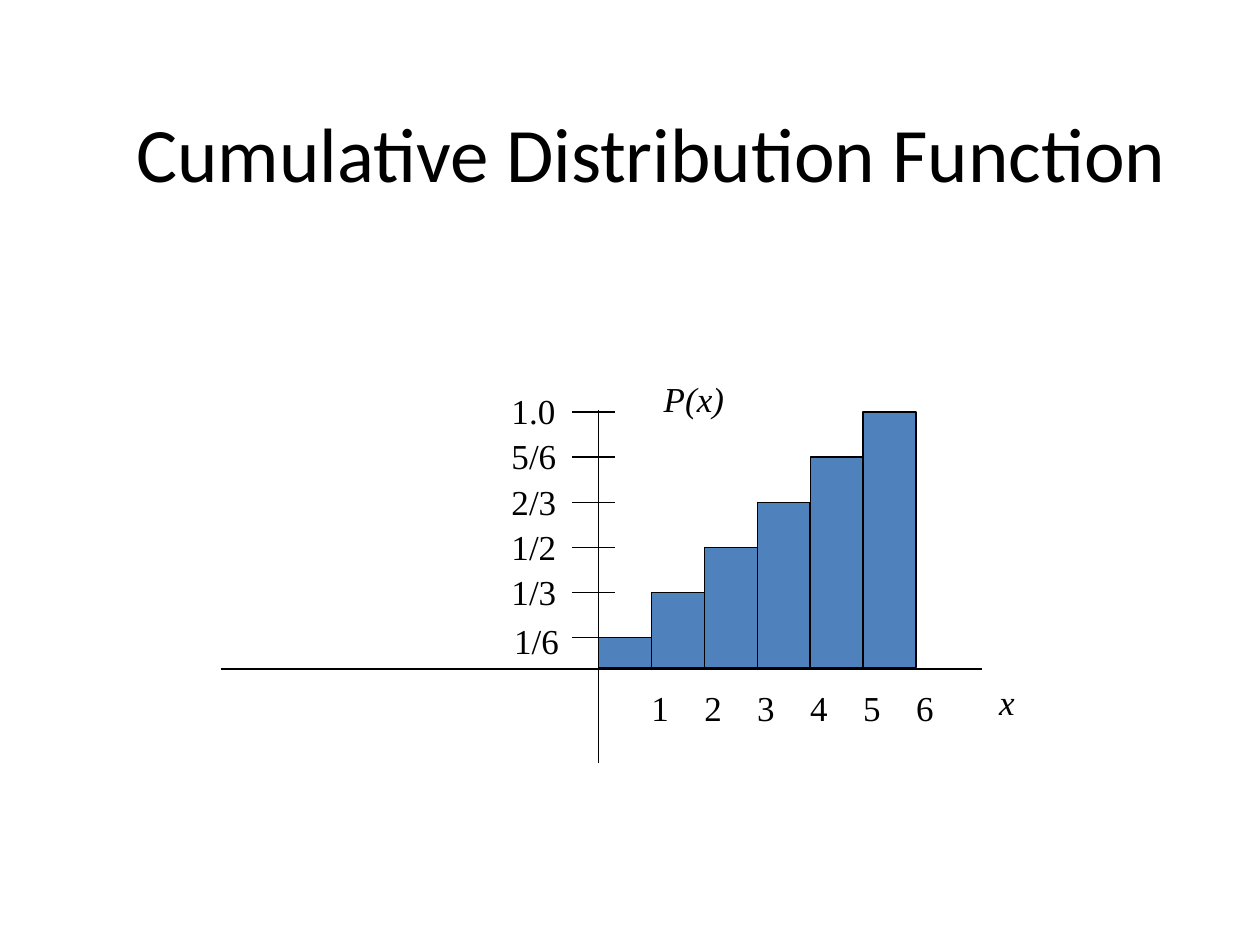
import pptx
import pptx.util
import pptx.dml.color
import pptx.enum.shapes
import pptx.enum.text
import pptx.oxml

Pt = pptx.util.Pt

TITLE = "Cumulative Distribution Function"
OUTCOMES = ["1", "2", "3", "4", "5", "6"]
PROBABILITIES = ["1/6", "1/3", "1/2", "2/3", "5/6", "1.0"]
VERTICAL_LABEL = "P(x)"
HORIZONTAL_LABEL = "x"

THEME = {
    "ink": pptx.dml.color.RGBColor.from_string("000000"),
    "bar": pptx.dml.color.RGBColor.from_string("4F81BD"),
    "title_font": "Calibri",
    "title_size": Pt(44),
    "label_font": "Times New Roman",
    "label_size": Pt(20),
    "line": Pt(0.75),
}

ORIGIN_X, BASELINE = 342, 381.6
BAR_WIDTH = 30.24
FIRST_TICK, TICK_GAP = 364.3, 25.77
TICK_LEFT, TICK_RIGHT = 326.9, 351.4
AXES = [(ORIGIN_X, 234, ORIGIN_X, 436.3), (126, 382.3, 560.9, 382.3)]


def add_line(slide, x1, y1, x2, y2):
    line = slide.shapes.add_connector(
        pptx.enum.shapes.MSO_CONNECTOR.STRAIGHT, Pt(x1), Pt(y1), Pt(x2), Pt(y2))
    line.line.color.rgb = THEME["ink"]
    line.line.width = THEME["line"]
    properties = line._element.spPr
    properties.append(properties.makeelement(pptx.oxml.ns.qn("a:effectLst"), {}))


def add_bar(slide, left, top):
    bar = slide.shapes.add_shape(
        pptx.enum.shapes.MSO_SHAPE.RECTANGLE,
        Pt(left), Pt(top), Pt(BAR_WIDTH), Pt(BASELINE - top))
    bar.shadow.inherit = False
    bar.fill.solid()
    bar.fill.fore_color.rgb = THEME["bar"]
    bar.line.color.rgb = THEME["ink"]
    bar.line.width = THEME["line"]


def add_label(slide, text, left, top, width, height, axis_name=False):
    box = slide.shapes.add_textbox(Pt(left), Pt(top), Pt(width), Pt(height))
    frame = box.text_frame
    frame.word_wrap = True
    if not axis_name:
        frame.margin_left = frame.margin_right = 0
        frame.margin_top = frame.margin_bottom = 0
    paragraph = frame.paragraphs[0]
    paragraph.text = text
    paragraph.font.name = THEME["label_font"]
    paragraph.font.size = THEME["label_size"]
    paragraph.font.italic = axis_name
    paragraph.font.color.rgb = THEME["ink"]


def add_title(slide):
    title = slide.shapes.title
    title.left, title.top, title.width, title.height = Pt(38.2), Pt(28.8), Pt(668.2), Pt(115.2)
    title.text_frame.text = TITLE
    title.text_frame.vertical_anchor = pptx.enum.text.MSO_ANCHOR.MIDDLE
    paragraph = title.text_frame.paragraphs[0]
    paragraph.alignment = pptx.enum.text.PP_ALIGN.CENTER
    paragraph.font.name = THEME["title_font"]
    paragraph.font.size = THEME["title_size"]
    paragraph.font.color.rgb = THEME["ink"]


def main():
    presentation = pptx.Presentation()
    presentation.slide_width, presentation.slide_height = Pt(720), Pt(540)
    slide = presentation.slides.add_slide(presentation.slide_layouts[5])
    add_title(slide)

    ticks = [FIRST_TICK - index * TICK_GAP for index in range(len(PROBABILITIES))]
    for index, tick in enumerate(ticks):
        add_bar(slide, ORIGIN_X + index * BAR_WIDTH, tick)
    for axis in AXES:
        add_line(slide, *axis)
    for index, (tick, outcome, probability) in enumerate(zip(ticks, OUTCOMES, PROBABILITIES)):
        add_line(slide, TICK_LEFT, tick, TICK_RIGHT, tick)
        label_left, label_rise = (293.8, 10.1) if index == 0 else (292.3, 12.7)
        add_label(slide, probability, label_left, tick - label_rise, 31.7, 15.1)
        add_label(slide, outcome, ORIGIN_X + (index + 1) * BAR_WIDTH, 392.4, 13, 15.1)
    add_label(slide, VERTICAL_LABEL, 372.2, 212.4, 71.3, 31, axis_name=True)
    add_label(slide, HORIZONTAL_LABEL, 563.8, 385.2, 42.5, 31, axis_name=True)

    presentation.save("out.pptx")


if __name__ == "__main__":
    main()
